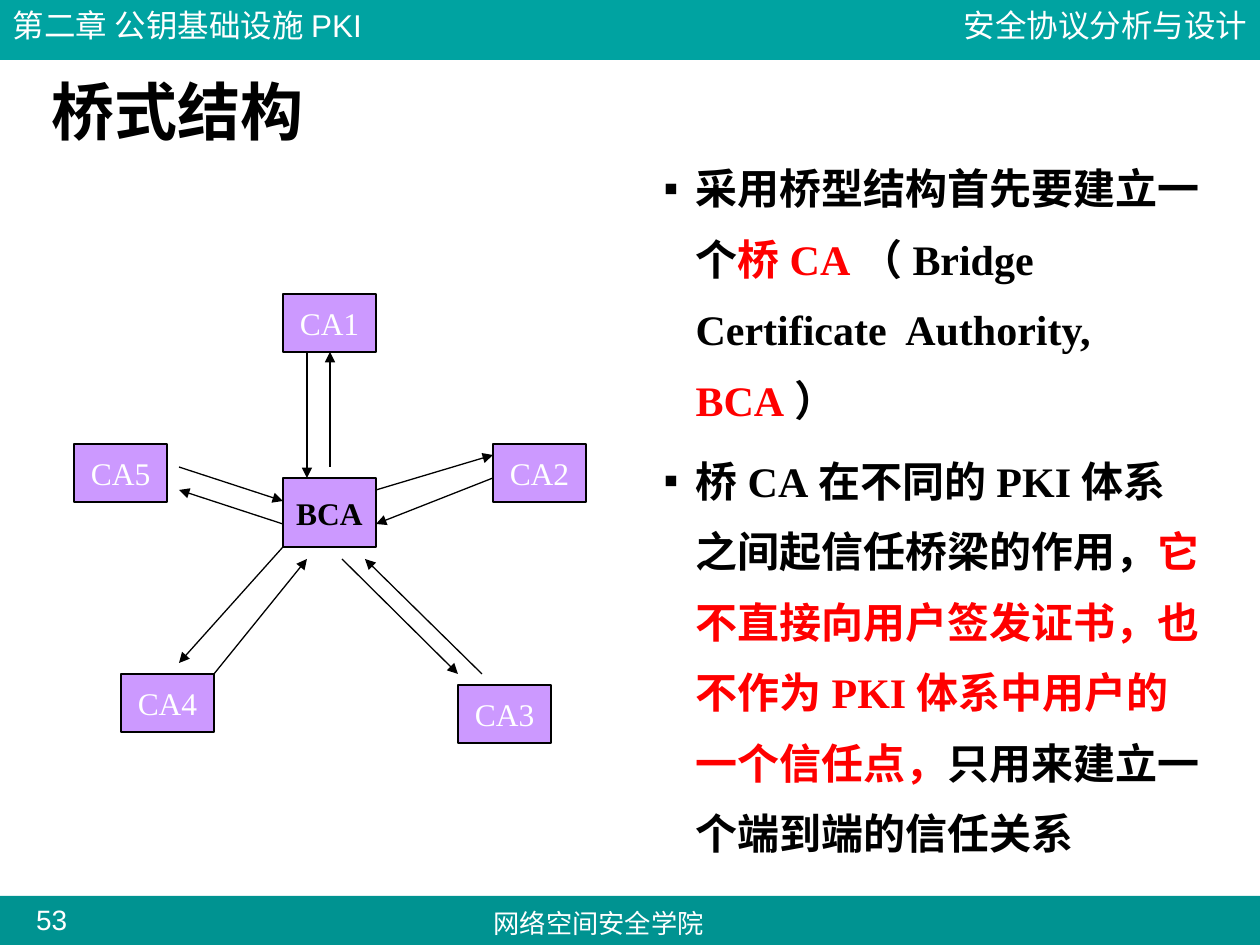
from dataclasses import dataclass

from lxml.etree import SubElement
from pptx import Presentation
from pptx.dml.color import RGBColor
from pptx.enum.shapes import MSO_CONNECTOR, MSO_SHAPE
from pptx.enum.text import MSO_ANCHOR, MSO_AUTO_SIZE, PP_ALIGN
from pptx.oxml.ns import qn
from pptx.util import Pt

EMU_PER_PX = 914400 / 126


@dataclass(frozen=True)
class Theme:
    header: str = "00A3A1"
    footer: str = "009391"
    node: str = "CC99FF"
    ink: str = "000000"
    light: str = "FFFFFF"
    accent: str = "FF0000"
    serif: str = "Times New Roman"
    sans: str = "Arial"
    title_size: int = 36
    body_size: int = 24
    label_size: int = 18
    page_size: int = 16
    school_size: int = 15


THEME = Theme()
NODE_WIDTH, NODE_HEIGHT = 93, 58
AUTHORITIES = {
    "CA5": (74, 444),
    "CA1": (283, 294),
    "CA2": (493, 444),
    "CA4": (121, 674),
    "CA3": (458, 685),
}
TRUST_ARROWS = [
    (179, 467, 283, 501),
    (283, 524, 179, 490),
    (307, 352, 307, 478),
    (330, 467, 330, 352),
    (376, 490, 493, 455),
    (493, 478, 376, 524),
    (283, 547, 179, 663),
    (214, 674, 307, 559),
    (342, 559, 458, 674),
    (482, 674, 365, 559),
]
POINTS = [
    [
        ("采用桥型结构首先要建立一个", THEME.ink),
        ("桥CA", THEME.accent),
        ("（Bridge Certificate  Authority, ", THEME.ink),
        ("BCA", THEME.accent),
        ("）", THEME.ink),
    ],
    [
        ("桥CA在不同的PKI体系之间起信任桥梁的作用，", THEME.ink),
        ("它不直接向用户签发证书，也不作为PKI体系中用户的一个信任点，", THEME.accent),
        ("只用来建立一个端到端的信任关系", THEME.ink),
    ],
]


def px(*lengths):
    return [round(length * EMU_PER_PX) for length in lengths]


def apply_format(target, values):
    for name, value in values.items():
        setattr(target, name, value)


def add_run(paragraph, text, size, color, name=THEME.serif, bold=False):
    run = paragraph.add_run()
    run.text = text
    apply_format(run.font, {"size": Pt(size), "name": name, "bold": bold})
    run.font.color.rgb = RGBColor.from_string(color)


def add_box(slide, box, fill, outlined=False):
    shape = slide.shapes.add_shape(MSO_SHAPE.RECTANGLE, *px(*box))
    shape.shadow.inherit = False
    shape.fill.solid()
    shape.fill.fore_color.rgb = RGBColor.from_string(fill)
    if outlined:
        shape.line.color.rgb = RGBColor.from_string(THEME.ink)
        shape.line.width = Pt(1)
    else:
        shape.line.fill.background()
    return shape


def add_node(slide, text, box, color=THEME.light, bold=False):
    frame = add_box(slide, box, THEME.node, outlined=True).text_frame
    apply_format(frame, {"word_wrap": False, "vertical_anchor": MSO_ANCHOR.MIDDLE})
    paragraph = frame.paragraphs[0]
    paragraph.alignment = PP_ALIGN.CENTER
    add_run(paragraph, text, THEME.label_size, color, bold=bold)


def add_label(slide, text, box, size, alignment, insets=(13, 6)):
    frame = slide.shapes.add_textbox(*px(*box)).text_frame
    side, edge = px(*insets)
    apply_format(frame, {
        "word_wrap": True,
        "margin_left": side,
        "margin_right": side,
        "margin_top": edge,
        "margin_bottom": edge,
    })
    paragraph = frame.paragraphs[0]
    paragraph.alignment = alignment
    add_run(paragraph, text, size, THEME.light, THEME.sans)


def add_arrow(slide, ends):
    connector = slide.shapes.add_connector(MSO_CONNECTOR.STRAIGHT, *px(*ends))
    connector.line.color.rgb = RGBColor.from_string(THEME.ink)
    connector.line.width = Pt(0.75)
    SubElement(connector.line._get_or_add_ln(), qn("a:tailEnd"), type="triangle")
    SubElement(connector._element.spPr, qn("a:effectLst"))


def place(placeholder, box):
    left, top, width, height = px(*box)
    apply_format(placeholder, {"left": left, "top": top, "width": width, "height": height})
    frame = placeholder.text_frame
    apply_format(frame, {"word_wrap": True, "auto_size": MSO_AUTO_SIZE.NONE})
    return frame


def fill_title(slide, text):
    frame = place(slide.shapes.title, (39, 73, 1137, 84))
    paragraph = frame.paragraphs[0]
    apply_format(paragraph, {"alignment": PP_ALIGN.LEFT, "line_spacing": 0.9})
    add_run(paragraph, text, THEME.title_size, THEME.ink, bold=True)


def add_bullet(paragraph):
    properties = paragraph._p.get_or_add_pPr()
    indent, = px(32)
    properties.set("marL", str(indent))
    properties.set("indent", str(-indent))
    color = SubElement(properties, qn("a:buClr"))
    SubElement(color, qn("a:srgbClr"), val=THEME.ink)
    SubElement(properties, qn("a:buChar"), char="▪")


def fill_points(slide, points):
    frame = place(slide.placeholders[1], (651, 136, 567, 725))
    for index, runs in enumerate(points):
        paragraph = frame.add_paragraph() if index else frame.paragraphs[0]
        add_bullet(paragraph)
        apply_format(paragraph, {
            "line_spacing": 1.4,
            "space_before": Pt(3 if index else 0),
            "space_after": Pt(3),
        })
        for text, color in runs:
            add_run(paragraph, text, THEME.body_size, color, bold=True)


def add_bands(slide):
    add_box(slide, (0, 896, 1260, 49), THEME.footer)
    add_box(slide, (0, 0, 1260, 60), THEME.header)
    add_label(slide, "安全协议分析与设计", (872, 0, 388, 50), THEME.label_size, PP_ALIGN.RIGHT)
    add_label(slide, "网络空间安全学院", (451, 901, 295, 44), THEME.school_size, PP_ALIGN.CENTER)
    add_label(slide, "53", (18, 903, 67, 34), THEME.page_size, PP_ALIGN.CENTER, (0, 0))
    add_label(slide, "第二章 公钥基础设施PKI", (0, 0, 388, 50), THEME.label_size, PP_ALIGN.LEFT)


def add_bridge_diagram(slide):
    add_node(slide, "BCA", (283, 478, NODE_WIDTH, 69), THEME.ink, bold=True)
    for name, corner in AUTHORITIES.items():
        add_node(slide, name, (*corner, NODE_WIDTH, NODE_HEIGHT))
    for ends in TRUST_ARROWS:
        add_arrow(slide, ends)


def main():
    presentation = Presentation()
    width, height = px(1260, 945)
    apply_format(presentation, {"slide_width": width, "slide_height": height})
    slide = presentation.slides.add_slide(presentation.slide_layouts[1])
    add_bands(slide)
    fill_title(slide, "桥式结构")
    fill_points(slide, POINTS)
    add_bridge_diagram(slide)
    presentation.save("out.pptx")


if __name__ == "__main__":
    main()
